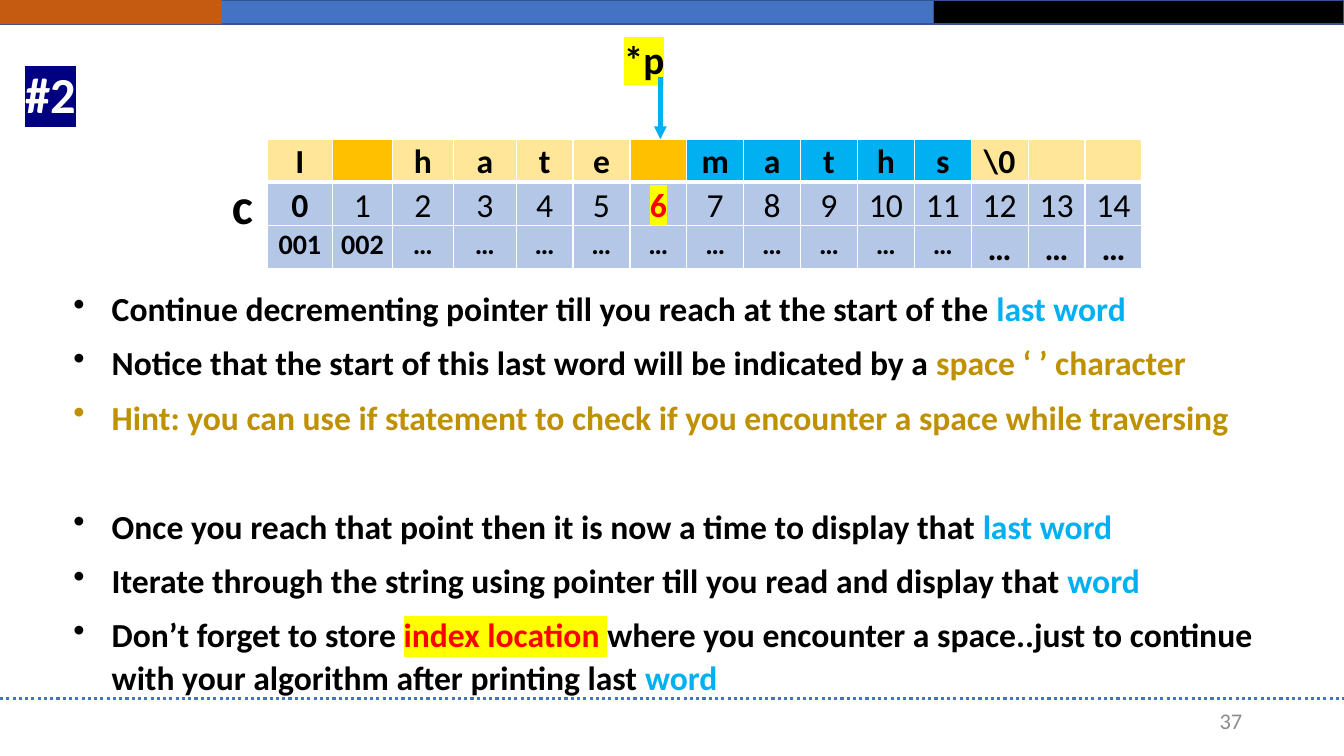
from lxml import etree
from pptx import Presentation
from pptx.dml.color import RGBColor
from pptx.enum.dml import MSO_LINE
from pptx.enum.shapes import MSO_CONNECTOR, MSO_SHAPE
from pptx.enum.text import MSO_ANCHOR, PP_ALIGN
from pptx.oxml.ns import qn
from pptx.util import Inches, Pt

LEFT, CENTER, RIGHT, JUSTIFY = (PP_ALIGN.LEFT, PP_ALIGN.CENTER,
                                PP_ALIGN.RIGHT, PP_ALIGN.JUSTIFY)
TOP, MIDDLE = MSO_ANCHOR.TOP, MSO_ANCHOR.MIDDLE
RECT, STRAIGHT = MSO_SHAPE.RECTANGLE, MSO_CONNECTOR.STRAIGHT
DOTTED = MSO_LINE.ROUND_DOT

BLACK = RGBColor(0x00, 0x00, 0x00)
WHITE = RGBColor(0xFF, 0xFF, 0xFF)
GRAY = RGBColor(0x8C, 0x8C, 0x8C)
BLUE = RGBColor(0x44, 0x72, 0xC4)
DARK_BLUE = RGBColor(0x32, 0x54, 0x91)
PALE_BLUE = RGBColor(0xB4, 0xC7, 0xE7)
NAVY = RGBColor(0x00, 0x00, 0x80)
SKY = RGBColor(0x00, 0xB0, 0xF0)
ORANGE = RGBColor(0xC5, 0x5A, 0x11)
AMBER = RGBColor(0xFF, 0xC0, 0x00)
CREAM = RGBColor(0xFF, 0xE6, 0x99)
GOLD = RGBColor(0xBF, 0x90, 0x00)
RED = RGBColor(0xFF, 0x00, 0x00)
YELLOW = RGBColor(0xFF, 0xFF, 0x00)


def add_run(p, text, size=24, color=BLACK, bold=True, highlight=None, font="Calibri"):
    r = p.add_run()
    r.text = text
    r.font.name, r.font.size, r.font.bold = font, Pt(size), bold
    r.font.color.rgb = color
    if highlight is not None:
        mark = etree.Element(qn("a:highlight"))
        etree.SubElement(mark, qn("a:srgbClr"), val=str(highlight))
        r.font._element.find(qn("a:solidFill")).addnext(mark)


class SlideBuilder:
    SPACING = 1.07
    INDENT = Inches(0.38)

    def __init__(self, prs):
        self.s = prs.slides.add_slide(prs.slide_layouts[6])

    def bar(self, x, y, w, h, fill, line=None):
        sp = self.s.shapes.add_shape(RECT, Inches(x), Inches(y), Inches(w), Inches(h))
        sp.shadow.inherit = False
        sp.fill.solid()
        sp.fill.fore_color.rgb = fill
        if line is None:
            sp.line.fill.background()
        else:
            sp.line.color.rgb, sp.line.width = line, Pt(1)

    def line(self, x1, y1, x2, y2, color, width, dash=None, arrow=False):
        sp = self.s.shapes.add_connector(STRAIGHT, Inches(x1), Inches(y1),
                                         Inches(x2), Inches(y2))
        sp.line.color.rgb, sp.line.width = color, Pt(width)
        if dash is not None:
            sp.line.dash_style = dash
        if arrow:
            etree.SubElement(sp.line._get_or_add_ln(), qn("a:tailEnd"), type="triangle")
        etree.SubElement(sp._element.spPr, qn("a:effectLst"))

    def frame(self, x, y, w, h, anchor=TOP):
        tf = self.s.shapes.add_textbox(Inches(x), Inches(y), Inches(w), Inches(h)).text_frame
        tf.word_wrap, tf.vertical_anchor = True, anchor
        return tf

    def label(self, x, y, w, h, text, align=LEFT, anchor=TOP, spacing=1.0, **fmt):
        p = self.frame(x, y, w, h, anchor).paragraphs[0]
        p.alignment, p.line_spacing = align, spacing
        add_run(p, text, **fmt)

    def bullets(self, x, y, w, h, items):
        tf = self.frame(x, y, w, h)
        for i, (gap, runs) in enumerate(items):
            p = tf.add_paragraph() if i else tf.paragraphs[0]
            pPr = p._p.get_or_add_pPr()
            pPr.set("marL", str(self.INDENT))
            pPr.set("indent", str(-self.INDENT))
            etree.SubElement(pPr, qn("a:buChar"), char="•")
            p.line_spacing, p.space_after = self.SPACING, Pt(8)
            if gap:
                p.space_before = Pt(gap)
            for text, fmt in runs:
                add_run(p, text, **fmt)

    def table(self, x, y, widths, row_height, rows):
        tbl = self.s.shapes.add_table(len(rows), len(widths), Inches(x), Inches(y),
                                      Inches(sum(widths)),
                                      Inches(row_height * len(rows))).table
        tbl.horz_banding = False
        for col, width in zip(tbl.columns, widths):
            col.width = Inches(width)
        for i, row in enumerate(rows):
            for j, (text, fill, fmt) in enumerate(row):
                self.cell(tbl.cell(i, j), text, fill, 3 if i == 0 else 1, fmt)

    def cell(self, cell, text, fill, bottom, fmt):
        cell.margin_left = cell.margin_right = Inches(0.07)
        cell.margin_top = cell.margin_bottom = 0
        tcPr = cell._tc.get_or_add_tcPr()
        for side, width in (("L", 1), ("R", 1), ("T", 1), ("B", bottom)):
            ln = etree.SubElement(tcPr, qn("a:ln" + side), w=str(Pt(width)))
            solid = etree.SubElement(ln, qn("a:solidFill"))
            etree.SubElement(solid, qn("a:srgbClr"), val=str(WHITE))
        cell.fill.solid()
        cell.fill.fore_color.rgb = fill
        if text:
            p = cell.text_frame.paragraphs[0]
            p.alignment, p.line_spacing = CENTER, self.SPACING
            add_run(p, text, **fmt)


def array_rows():
    letters = [*"I hate maths", "\\0", "", ""]
    space = 6
    last_word = range(7, 12)
    chars, indexes, addresses = [], [], []
    for i, ch in enumerate(letters):
        fill = AMBER if ch == " " else SKY if i in last_word else CREAM
        chars.append((ch.strip(), fill, {}))
        fmt = {"color": RED, "highlight": YELLOW} if i == space else {"bold": i == 0}
        indexes.append((str(i), PALE_BLUE, fmt))
        address = f"00{i + 1}" if i < 2 else "…"
        addresses.append((address, PALE_BLUE, {"size": 20 if i < 12 else 24}))
    return [chars, indexes, addresses]


def main():
    prs = Presentation()
    prs.slide_width, prs.slide_height = Inches(13.33), Inches(7.5)
    b = SlideBuilder(prs)

    # Header bars, footer rule and page number
    b.bar(0, 0, 9.26, 0.24, BLUE, DARK_BLUE)
    b.bar(9.26, 0, 4.07, 0.24, BLACK, DARK_BLUE)
    b.bar(0, 0, 2.2, 0.24, ORANGE)
    b.line(0, 6.93, 13.33, 6.93, BLUE, 2.25, dash=DOTTED)
    b.label(9.42, 6.95, 3, 0.4, "37", align=RIGHT, anchor=MIDDLE,
            size=16, color=GRAY, bold=False)

    # Character array with its name
    first_widths = [0.65, 0.59, 0.61, 0.62]
    rest = (8.68 - sum(first_widths)) / 11
    b.table(2.65, 1.38, first_widths + [rest] * 11, 0.36, array_rows())
    b.label(1.99, 1.38, 0.83, 0.92, "c", align=CENTER, spacing=1.5, size=36)

    # Steps: space before, then runs
    sky, gold = {"color": SKY}, {"color": GOLD}
    b.bullets(0.63, 2.78, 12.38, 4.21, [
        (0, [("Continue decrementing pointer till you reach at the start of the ", {}),
             ("last word", sky)]),
        (0, [("Notice that the start of this last word will be indicated by a ", {}),
             ("space ‘ ’ character", gold)]),
        (0, [("Hint: you can use if statement to check if you encounter a space "
              "while traversing", gold)]),
        (39, [("Once you reach that point then it is now a time to display that ", {}),
              ("last word", sky)]),
        (0, [("Iterate through the string using pointer till you read and display that", {}),
             (" word", sky)]),
        (0, [("Don’t forget to store ", {}),
             ("index location ", {"color": RED, "highlight": YELLOW}),
             ("where you encounter a space..just to continue with your algorithm "
              "after printing last ", {}),
             ("word", sky)]),
    ])

    # Pointer and step number
    b.label(6.09, 0.3, 0.96, 0.57, "*p", align=JUSTIFY, size=28, highlight=YELLOW)
    b.line(6.55, 0.76, 6.55, 1.38, SKY, 3, arrow=True)
    b.label(0.15, 0.58, 0.96, 0.71, "#2", align=JUSTIFY, size=36,
            color=WHITE, highlight=NAVY)

    prs.save("out.pptx")


if __name__ == "__main__":
    main()
